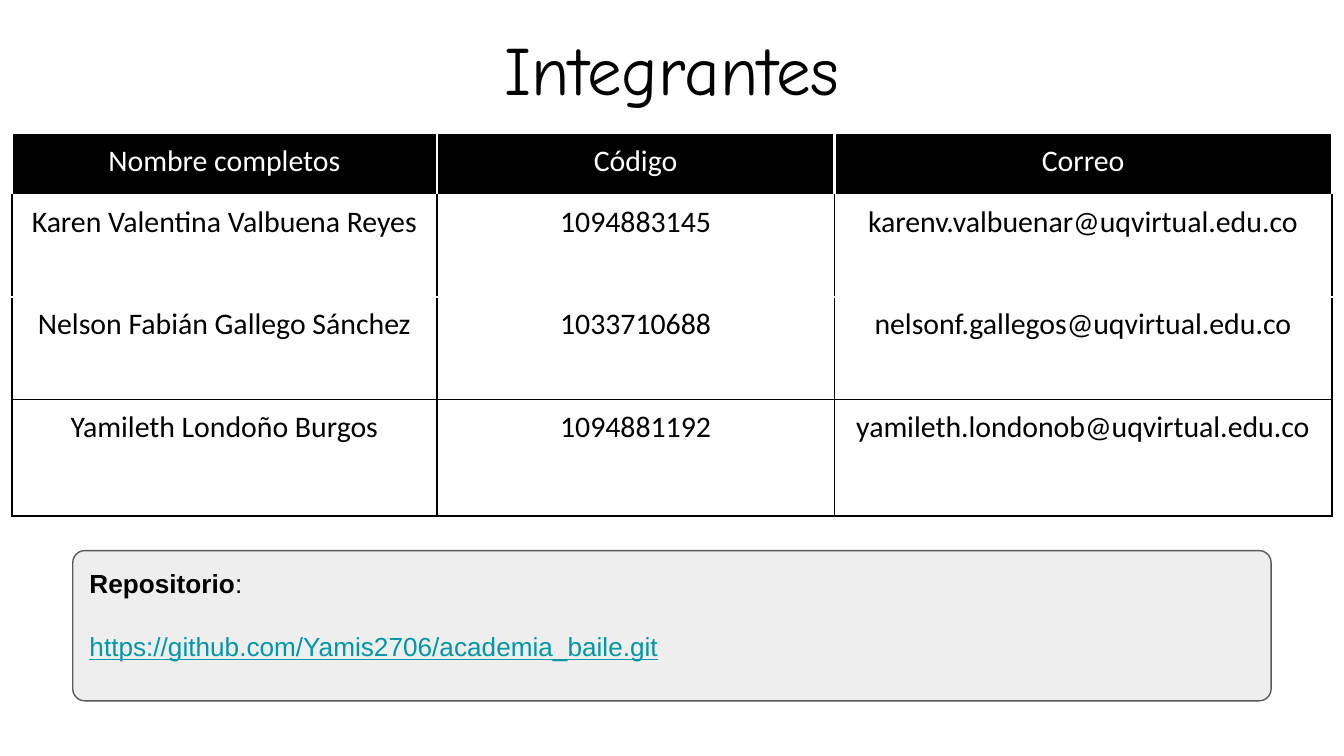
from lxml.etree import SubElement
from pptx import Presentation
from pptx.dml.color import RGBColor
from pptx.enum.shapes import MSO_SHAPE as Shape
from pptx.enum.text import MSO_ANCHOR as Anchor, PP_ALIGN as Align
from pptx.oxml.ns import qn
from pptx.util import Pt

COLORS = {
    "ink": "000000",
    "paper": "FFFFFF",
    "panel": "EEEEEE",
    "outline": "595959",
    "link": "0097A7",
}
MEMBERS = [
    ("Nombre completos", "Código", "Correo"),
    ("Karen Valentina Valbuena Reyes", "1094883145", "karenv.valbuenar@uqvirtual.edu.co"),
    ("Nelson Fabián Gallego Sánchez", "1033710688", "nelsonf.gallegos@uqvirtual.edu.co"),
    ("Yamileth Londoño Burgos", "1094881192", "yamileth.londonob@uqvirtual.edu.co"),
]
COLUMN_WIDTHS = (227.5, 213.1, 266.4)
ROW_HEIGHTS = (33, 54.8, 54.8, 62.6)
BLACK_EDGE = ("ink", 1)
WHITE_EDGE = ("paper", 1.5)


def rgb(name):
    return RGBColor.from_string(COLORS[name])


def style(font, face, size, color):
    font.name = face
    font.size = Pt(size)
    font.color.rgb = rgb(color)


def set_insets(frame, inset):
    frame.margin_left = frame.margin_right = Pt(inset)
    frame.margin_top = frame.margin_bottom = Pt(inset)


def set_borders(cell, left, right, top, bottom):
    properties = cell._tc.get_or_add_tcPr()
    edges = zip(("lnL", "lnR", "lnT", "lnB"), (left, right, top, bottom))
    for position, (tag, (color, width)) in enumerate(edges):
        edge = SubElement(properties, qn(f"a:{tag}"), w=str(Pt(width)))
        fill = SubElement(edge, qn("a:solidFill"))
        SubElement(fill, qn("a:srgbClr"), val=COLORS[color])
        properties.insert(position, edge)


def add_title(slide, box):
    title = slide.shapes.add_textbox(*map(Pt, box))
    frame = title.text_frame
    frame.word_wrap = True
    set_insets(frame, 7.2)
    frame.text = "Integrantes"
    heading = frame.paragraphs[0]
    heading.alignment = Align.CENTER
    style(heading.runs[0].font, "Comic Neue", 37, "ink")


def add_members(slide, box):
    members = slide.shapes.add_table(len(MEMBERS), len(COLUMN_WIDTHS), *map(Pt, box)).table
    members.first_row = members.horz_banding = False
    for column, width in zip(members.columns, COLUMN_WIDTHS):
        column.width = Pt(width)
    for index, (row, height, entries) in enumerate(zip(members.rows, ROW_HEIGHTS, MEMBERS)):
        row.height = Pt(height)
        header = index == 0
        side = WHITE_EDGE if header else BLACK_EDGE
        top = WHITE_EDGE if index < 3 else BLACK_EDGE
        bottom = WHITE_EDGE if index < 2 else BLACK_EDGE
        for cell, entry in zip(row.cells, entries):
            set_insets(cell, 5)
            cell.vertical_anchor = Anchor.TOP
            if header:
                cell.fill.solid()
                cell.fill.fore_color.rgb = rgb("ink")
            else:
                cell.fill.background()
            set_borders(cell, side, side, top, bottom)
            cell.text_frame.text = entry
            paragraph = cell.text_frame.paragraphs[0]
            paragraph.alignment = Align.CENTER
            style(paragraph.runs[0].font, "Calibri", 16, "paper" if header else "ink")


def add_repository(slide, box):
    panel = slide.shapes.add_shape(Shape.ROUNDED_RECTANGLE, *map(Pt, box))
    panel.adjustments[0] = 0.08
    panel.shadow.inherit = False
    panel.fill.solid()
    panel.fill.fore_color.rgb = rgb("panel")
    panel.line.color.rgb = rgb("outline")
    panel.line.width = Pt(0.75)
    frame = panel.text_frame
    frame.word_wrap = True
    frame.vertical_anchor = Anchor.TOP
    set_insets(frame, 7.2)
    frame.text = "Repositorio\nhttps://github.com/Yamis2706/academia_baile.git"
    label, address = frame.paragraphs
    label.add_run().text = ":"
    for paragraph, color in ((label, "ink"), (address, "link")):
        paragraph.alignment = Align.LEFT
        for run in paragraph.runs:
            style(run.font, "Arial", 14, color)
    label.runs[0].font.bold = True
    address.space_before = Pt(17)
    address.runs[0].font.underline = True


def main():
    deck = Presentation()
    deck.slide_width, deck.slide_height = Pt(720), Pt(405)
    slide = deck.slides.add_slide(deck.slide_layouts[6])
    add_members(slide, (6.5, 71.4, sum(COLUMN_WIDTHS), sum(ROW_HEIGHTS)))
    add_title(slide, (67.5, 7.2, 585, 59))
    add_repository(slide, (39, 295, 642, 80.5))
    deck.save("out.pptx")


if __name__ == "__main__":
    main()
